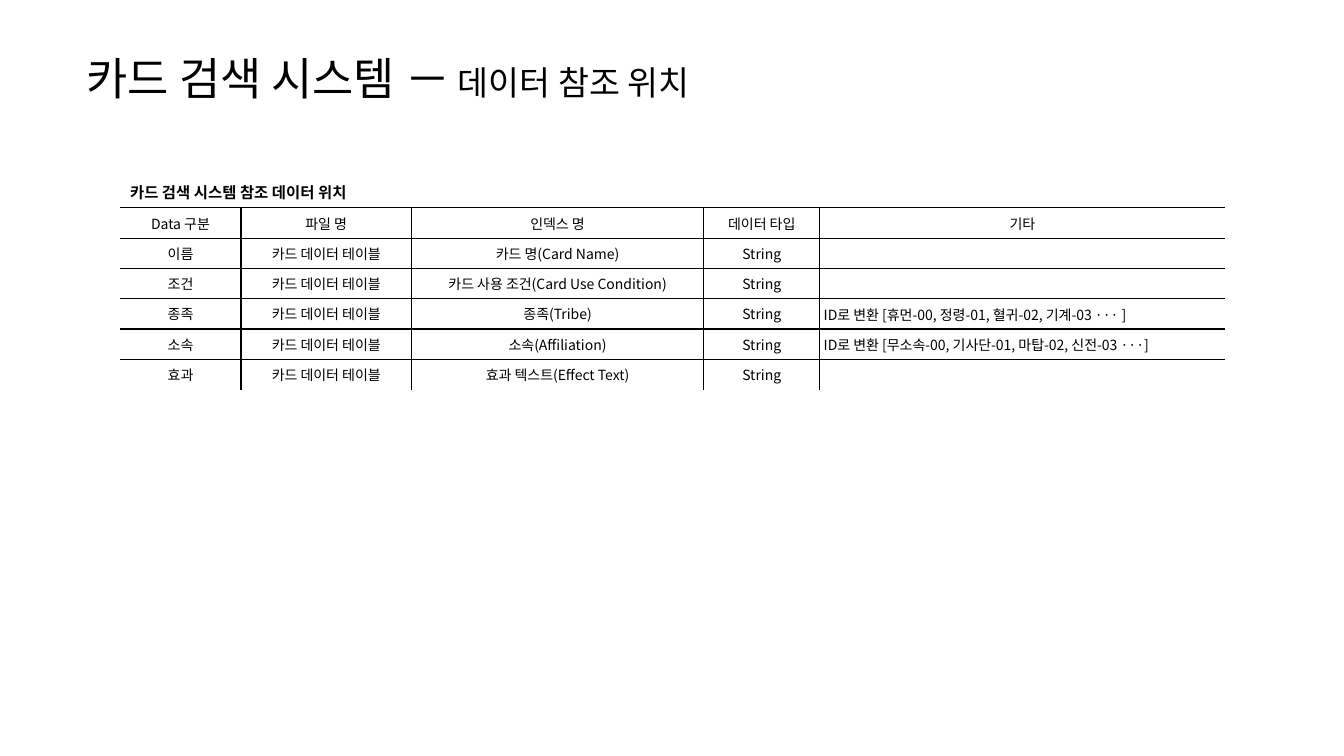
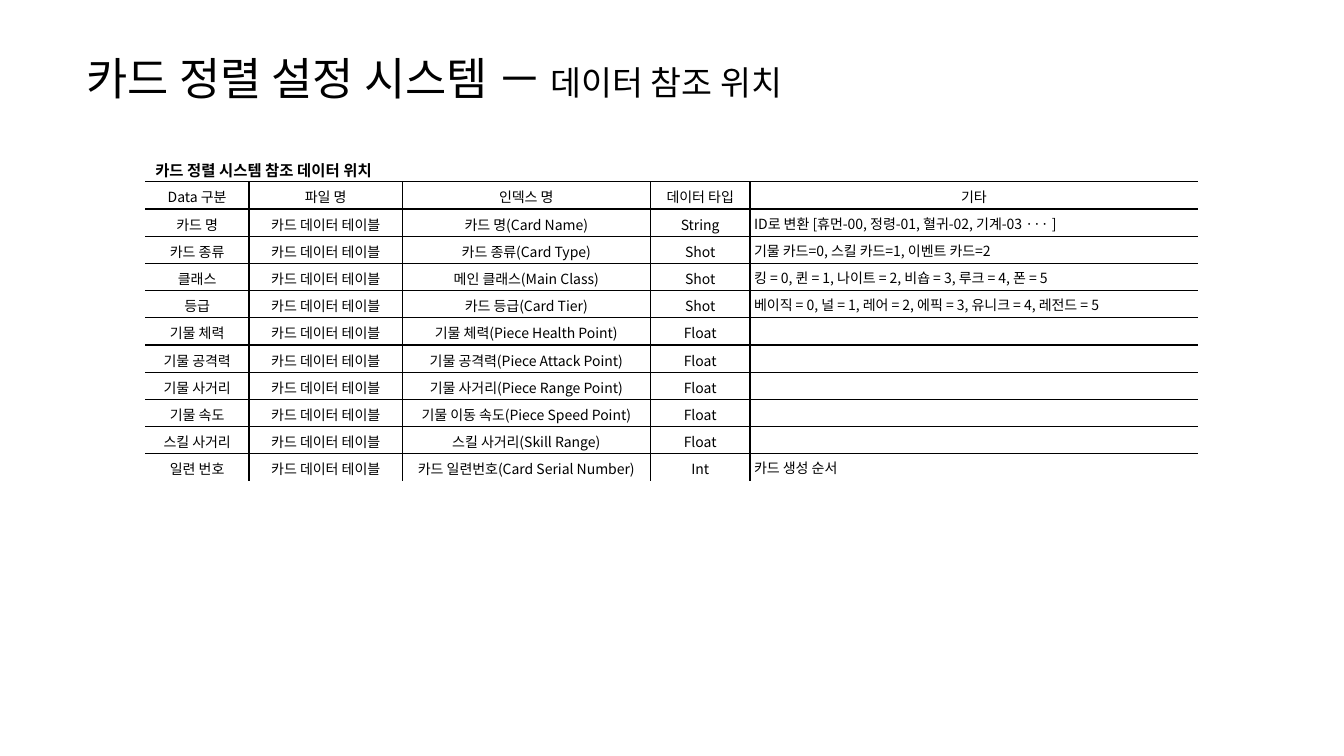
from lxml.etree import SubElement
from pptx import Presentation
from pptx.dml.color import RGBColor
from pptx.enum.text import MSO_ANCHOR, PP_ALIGN
from pptx.oxml.ns import qn
from pptx.util import Inches, Pt

FONT = "Noto Sans CJK KR"
BLACK = "000000"
SUBTITLE = " 데이터 참조 위치"
FILE = "카드 데이터 테이블"
HEADER = ("Data 구분", "파일 명", "인덱스 명", "데이터 타입", "기타")
TRIBES = "ID로 변환 [휴먼-00, 정령-01, 혈귀-02, 기계-03 ··· ]"
ROW_HEIGHT = 0.27

# rows: data, index name, data type, remark
SLIDES = [
    {
        "title": "카드 검색 시스템 －",
        "caption": "카드 검색 시스템 참조 데이터 위치",
        "at": (1.19, 1.74),
        "cols": (1.2, 1.69, 2.9, 1.15, 4.02),
        "rows": [
            ("이름", "카드 명(Card Name)", "String", ""),
            ("조건", "카드 사용 조건(Card Use Condition)", "String", ""),
            ("종족", "종족(Tribe)", "String", TRIBES),
            ("소속", "소속(Affiliation)", "String",
             "ID로 변환 [무소속-00, 기사단-01, 마탑-02, 신전-03 ···]"),
            ("효과", "효과 텍스트(Effect Text)", "String", ""),
        ],
    },
    {
        "title": "카드 정렬 설정 시스템 －",
        "caption": "카드 정렬 시스템 참조 데이터 위치",
        "at": (1.44, 1.52),
        "cols": (1.03, 1.52, 2.46, 0.99, 4.44),
        "rows": [
            ("카드 명", "카드 명(Card Name)", "String", TRIBES),
            ("카드 종류", "카드 종류(Card Type)", "Shot",
             "기물 카드=0, 스킬 카드=1, 이벤트 카드=2"),
            ("클래스", "메인 클래스(Main Class)", "Shot",
             "킹 = 0, 퀸 = 1, 나이트 = 2, 비숍 = 3, 루크 = 4, 폰 = 5"),
            ("등급", "카드 등급(Card Tier)", "Shot",
             "베이직 = 0, 널 = 1, 레어 = 2, 에픽 = 3, 유니크 = 4, 레전드 = 5"),
            ("기물 체력", "기물 체력(Piece Health Point)", "Float", ""),
            ("기물 공격력", "기물 공격력(Piece Attack Point)", "Float", ""),
            ("기물 사거리", "기물 사거리(Piece Range Point)", "Float", ""),
            ("기물 속도", "기물 이동 속도(Piece Speed Point)", "Float", ""),
            ("스킬 사거리", "스킬 사거리(Skill Range)", "Float", ""),
            ("일련 번호", "카드 일련번호(Card Serial Number)", "Int", "카드 생성 순서"),
        ],
    },
]


def rgb(value):
    return RGBColor.from_string(value)


def add_run(p, text, **style):
    r = p.add_run()
    r.text = text
    r.font.name = FONT
    r.font.color.rgb = rgb(BLACK)
    for name, value in style.items():
        setattr(r.font, name, value)
    SubElement(r.font._element, qn("a:ea"), typeface=FONT)


def set_borders(cell, sides):
    """Draw a black 1 pt line on the given sides (L, R, T, B) and none on the others."""
    tc_pr = cell._tc.get_or_add_tcPr()
    for side in "LRTB":
        ln = SubElement(tc_pr, qn(f"a:ln{side}"), w=str(Pt(1)))
        if side in sides:
            fill = SubElement(ln, qn("a:solidFill"))
            SubElement(fill, qn("a:srgbClr"), val=BLACK)
        else:
            SubElement(ln, qn("a:noFill"))


def add_title(slide, title):
    sp = slide.shapes.add_textbox(Inches(0.76), Inches(0.42), Inches(11.81), Inches(0.69))
    tf = sp.text_frame
    tf.word_wrap = True
    tf.vertical_anchor = MSO_ANCHOR.MIDDLE
    p = tf.paragraphs[0]
    add_run(p, title, size=Pt(32))
    add_run(p, SUBTITLE, size=Pt(24))


def fill_body_cell(cell, text, is_remark):
    cell.vertical_anchor = MSO_ANCHOR.MIDDLE
    p = cell.text_frame.paragraphs[0]
    if is_remark:
        cell.margin_left = Inches(0.04)
        cell.margin_right = cell.margin_top = Inches(0.01)
        cell.margin_bottom = 0
    else:
        p.alignment = PP_ALIGN.CENTER
    if text:
        add_run(p, text, size=Pt(10))
    else:  # keeps an empty cell from stretching its row
        SubElement(p._p, qn("a:endParaRPr"), sz="1000")


def add_data_table(slide, at, cols, caption, rows):
    body = [HEADER] + [(data, FILE, *rest) for data, *rest in rows]
    n_rows, n_cols = len(body) + 1, len(cols)
    left, top = map(Inches, at)
    table = slide.shapes.add_table(n_rows, n_cols, left, top, Inches(sum(cols)),
                                   Inches(ROW_HEIGHT * n_rows)).table
    table.first_row = table.horz_banding = False
    for column, width in zip(table.columns, cols):
        column.width = Inches(width)

    for i in range(n_rows):
        for j in range(n_cols):
            cell = table.cell(i, j)
            sides = "B" if i == 0 else "T"
            if 0 < i < n_rows - 1:
                sides += "B"
            if i > 0 and j > 0:
                sides += "L"
            if i > 0 and j < n_cols - 1:
                sides += "R"
            set_borders(cell, sides)
            cell.fill.background()
            if i > 0:
                fill_body_cell(cell, body[i - 1][j], i > 1 and j == n_cols - 1)

    table.cell(0, 0).merge(table.cell(0, n_cols - 1))
    add_run(table.cell(0, 0).text_frame.paragraphs[0], caption, size=Pt(11), bold=True)


def main():
    prs = Presentation()
    prs.slide_width, prs.slide_height = Inches(13.33), Inches(7.5)
    for content in SLIDES:
        s = prs.slides.add_slide(prs.slide_layouts[6])
        add_data_table(s, content["at"], content["cols"], content["caption"], content["rows"])
        add_title(s, content["title"])
    prs.save("out.pptx")


if __name__ == "__main__":
    main()
